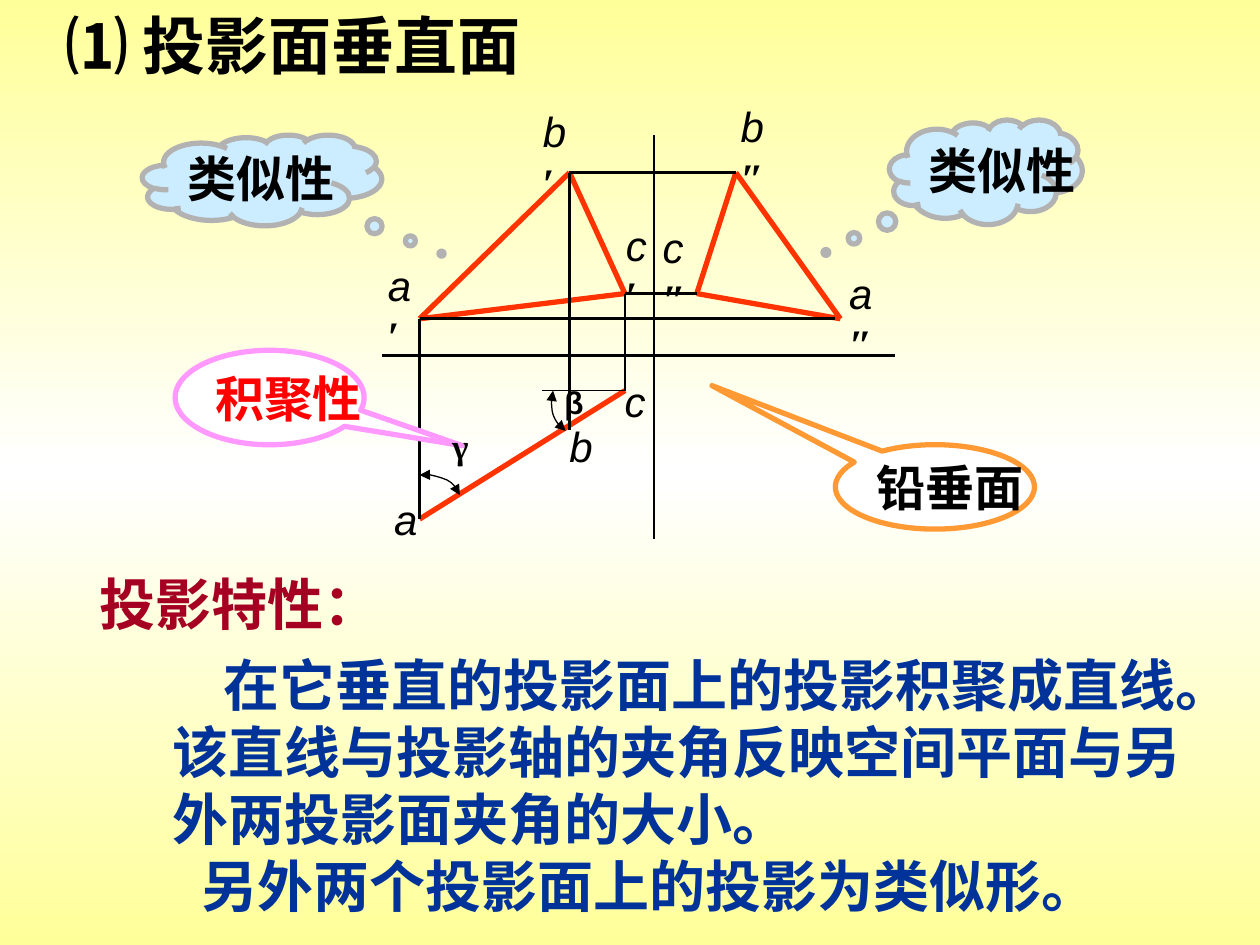
import pptx
import pptx.util
import pptx.dml.color
import pptx.enum.dml
import pptx.enum.shapes
import pptx.enum.text
import pptx.oxml.ns
import copy
from lxml import etree

Inches = pptx.util.Inches
Pt = pptx.util.Pt
qn = pptx.oxml.ns.qn
SHAPES = pptx.enum.shapes.MSO_SHAPE

BLACK, RED, BLUE = "000000", "FF3300", "003399"
CJK, SANS, SERIF = "Noto Sans CJK SC", "Arial", "Times New Roman"

BACKGROUND = [(0, "FFFF99"), (0.5, "FFFFFF"), (1, "FFFF99")]

TITLE = ("⑴ 投影面垂直面", (0.42, 0, 3.93, 0.7), 36, CJK, BLACK)
BODY = ("在它垂直的投影面上的投影积聚成直线。该直线与投影轴的夹角反映空间平面与另外两投影面夹角的大小。",
        (1.27, 5.11, 8.58, 1.7), 32, CJK, BLUE)
BODY_INDENT = 0.4

TEXTS = [
    ("γ", (3.49, 3.32, 0.48, 0.43), 20, SERIF, BLACK),
    ("β", (4.38, 2.99, 0.45, 0.4), 18, SANS, BLACK),
    ("投影特性：", (0.69, 4.47, 2.43, 0.63), 32, SERIF, "A50021"),
    ("另外两个投影面上的投影为类似形。", (1.5, 6.71, 8.16, 0.63), 32, CJK, BLUE),
]

POINT_LABELS = [
    ("c", "″", 5.16, 1.91, 0.49), ("c", "′", 4.87, 1.89, 0.43),
    ("a", "", 3.03, 3.87, 0.37), ("b", "", 4.42, 3.29, 0.37),
    ("c", "", 4.86, 2.93, 0.35), ("a", "′", 2.98, 2.21, 0.45),
    ("b", "′", 4.21, 0.99, 0.45), ("b", "″", 5.78, 0.95, 0.51),
    ("a", "″", 6.64, 2.27, 0.51),
]
LABEL_HEIGHT = 0.5

A_FRONT, B_FRONT, C_FRONT = (3.33, 2.53), (4.52, 1.37), (4.96, 2.33)
A_SIDE, B_SIDE, C_SIDE = (6.67, 2.53), (5.84, 1.37), (5.53, 2.33)
A_TOP, B_TOP, C_TOP = (3.33, 4.12), (4.52, 3.41), (4.96, 3.1)

LINES = [
    (RED, 3, [(A_FRONT, B_FRONT), (B_FRONT, C_FRONT), (A_FRONT, C_FRONT),
              (A_SIDE, B_SIDE), (B_SIDE, C_SIDE), (C_SIDE, A_SIDE), (A_TOP, C_TOP)]),
    (BLACK, 1.5, [((3.03, 2.82), (7.1, 2.82)), ((5.19, 1.07), (5.19, 4.28)),
                  (A_FRONT, A_TOP), (B_FRONT, B_TOP), (C_FRONT, C_TOP),
                  (A_FRONT, (6.63, 2.53)), (B_FRONT, B_SIDE), (C_FRONT, C_SIDE)]),
    (BLACK, 0.75, [(C_TOP, (4.3, 3.1))]),
]

CLOUD, BUBBLE = SHAPES.CLOUD_CALLOUT, SHAPES.OVAL_CALLOUT
CALLOUTS = [
    ("类似性", CLOUD, (1.13, 1.07, 1.9, 0.72), (0.75, 0.81), "CCECFF", "B2B2B2", BLACK),
    ("类似性", CLOUD, (7.06, 0.95, 1.53, 0.83), (-0.83, 0.77), "CCECFF", "B2B2B2", BLACK),
    ("积聚性", BUBBLE, (1.39, 2.78, 1.5, 0.75), (1.02, 0.51), "FFFFFF", "FF99FF", "FF0000"),
    ("铅垂面", BUBBLE, (6.63, 3.53, 1.58, 0.67), (-1.12, -1.2), "FFFFFF", "FF9933", BLACK),
]

ANGLE_ARCS = [
    [(4.39, 3.1), (4.39, 3.12), (4.37, 3.19), (4.38, 3.23), (4.38, 3.28),
     (4.4, 3.32), (4.42, 3.35), (4.44, 3.38), (4.48, 3.41), (4.49, 3.42)],
    [(3.33, 3.77), (3.35, 3.76), (3.38, 3.76), (3.42, 3.77), (3.46, 3.78),
     (3.55, 3.8), (3.58, 3.83), (3.62, 3.86), (3.63, 3.9), (3.65, 3.93)],
]
ARC_STEPS = 4


def rgb(value):
    return pptx.dml.color.RGBColor.from_string(value)


def place(shape, box):
    shape.left, shape.top, shape.width, shape.height = map(Inches, box)


def style_font(font, size, name, color, bold=True, italic=False):
    font.size, font.name, font.bold, font.italic = Pt(size), name, bold, italic
    font.color.rgb = rgb(color)


def write(shape, text, size, name, color, wrap=False):
    frame = shape.text_frame
    frame.auto_size = pptx.enum.text.MSO_AUTO_SIZE.NONE
    frame.word_wrap = wrap
    frame.vertical_anchor = pptx.enum.text.MSO_ANCHOR.MIDDLE
    paragraph = frame.paragraphs[0]
    paragraph.text = text
    paragraph.alignment = pptx.enum.text.PP_ALIGN.LEFT
    paragraph.space_before = Pt(0)
    style_font(paragraph.font, size, name, color)
    properties = paragraph._p.pPr.find(qn("a:defRPr"))
    etree.SubElement(properties, qn("a:ea")).set("typeface", CJK)
    return paragraph


def add_text(slide, text, box, size, name, color):
    write(slide.shapes.add_textbox(*map(Inches, box)), text, size, name, color, wrap=box[2] > 5)


def add_point_label(slide, letter, prime, left, top, width):
    box = slide.shapes.add_textbox(*map(Inches, (left, top, width, LABEL_HEIGHT)))
    frame = box.text_frame
    frame.word_wrap = bool(prime)
    frame.vertical_anchor = pptx.enum.text.MSO_ANCHOR.MIDDLE
    paragraph = frame.paragraphs[0]
    for text, name, italic in ((letter, SANS, True), (prime, SERIF, False)):
        if text:
            run = paragraph.add_run()
            run.text = text
            style_font(run.font, 24, name, BLACK, not italic, italic)


def add_line(slide, start, end, color, width):
    line = slide.shapes.add_connector(
        pptx.enum.shapes.MSO_CONNECTOR.STRAIGHT, *map(Inches, start + end))
    line.line.color.rgb = rgb(color)
    line.line.width = Pt(width)
    etree.SubElement(line._element.spPr, qn("a:effectLst"))


def add_callout(slide, text, kind, box, tail, fill, outline, color):
    shape = slide.shapes.add_shape(kind, *map(Inches, box))
    shape.adjustments[0], shape.adjustments[1] = tail
    shape.shadow.inherit = False
    shape.fill.solid()
    shape.fill.fore_color.rgb = rgb(fill)
    shape.line.color.rgb = rgb(outline)
    shape.line.width = Pt(3)
    write(shape, text, 28, SERIF, color)


def curve_points(controls):
    points = [controls[0]]
    for start in range(0, len(controls) - 1, 3):
        segment = controls[start:start + 4]
        for step in range(1, ARC_STEPS + 1):
            t = step / ARC_STEPS
            weights = ((1 - t) ** 3, 3 * t * (1 - t) ** 2, 3 * t * t * (1 - t), t ** 3)
            points.append(tuple(sum(w * p[axis] for w, p in zip(weights, segment))
                                for axis in (0, 1)))
    return points


def add_angle_arc(slide, controls):
    points = [(Inches(x), Inches(y)) for x, y in curve_points(controls)]
    builder = slide.shapes.build_freeform(*points[0])
    builder.add_line_segments(points[1:], close=False)
    arc = builder.convert_to_shape()
    arc.shadow.inherit = False
    arc.fill.background()
    arc.line.color.rgb = rgb(BLACK)
    arc.line.width = Pt(0.75)
    outline = arc._element.spPr.find(qn("a:ln"))
    for end in ("a:headEnd", "a:tailEnd"):
        etree.SubElement(outline, qn(end)).set("type", "triangle")


def paint_background(slide):
    fill = slide.background.fill
    fill.gradient()
    fill.gradient_angle = 90
    stops = slide._element.find(".//" + qn("a:gsLst"))
    stops.append(copy.deepcopy(stops[0]))
    for stop, (position, color) in zip(fill.gradient_stops, BACKGROUND):
        stop.position = position
        stop.color.rgb = rgb(color)


def main():
    """Build the slide on planes perpendicular to a projection plane."""
    presentation = pptx.Presentation()
    presentation.slide_width, presentation.slide_height = Inches(10), Inches(7.5)
    slide = presentation.slides.add_slide(presentation.slide_layouts[1])
    paint_background(slide)

    for shape, (text, box, *style) in zip(slide.placeholders, (TITLE, BODY)):
        place(shape, box)
        paragraph = write(shape, text, *style, wrap=shape != slide.shapes.title)
    properties = paragraph._p.pPr
    properties.set("marL", "0")
    properties.set("indent", str(Inches(BODY_INDENT)))
    properties.find(qn("a:defRPr")).addprevious(etree.Element(qn("a:buNone")))

    for label in POINT_LABELS:
        add_point_label(slide, *label)
    for color, width, segments in LINES:
        for start, end in segments:
            add_line(slide, start, end, color, width)
    for callout in CALLOUTS:
        add_callout(slide, *callout)
    for text in TEXTS:
        add_text(slide, *text)
    for arc in ANGLE_ARCS:
        add_angle_arc(slide, arc)
    presentation.save("out.pptx")


if __name__ == "__main__":
    main()
